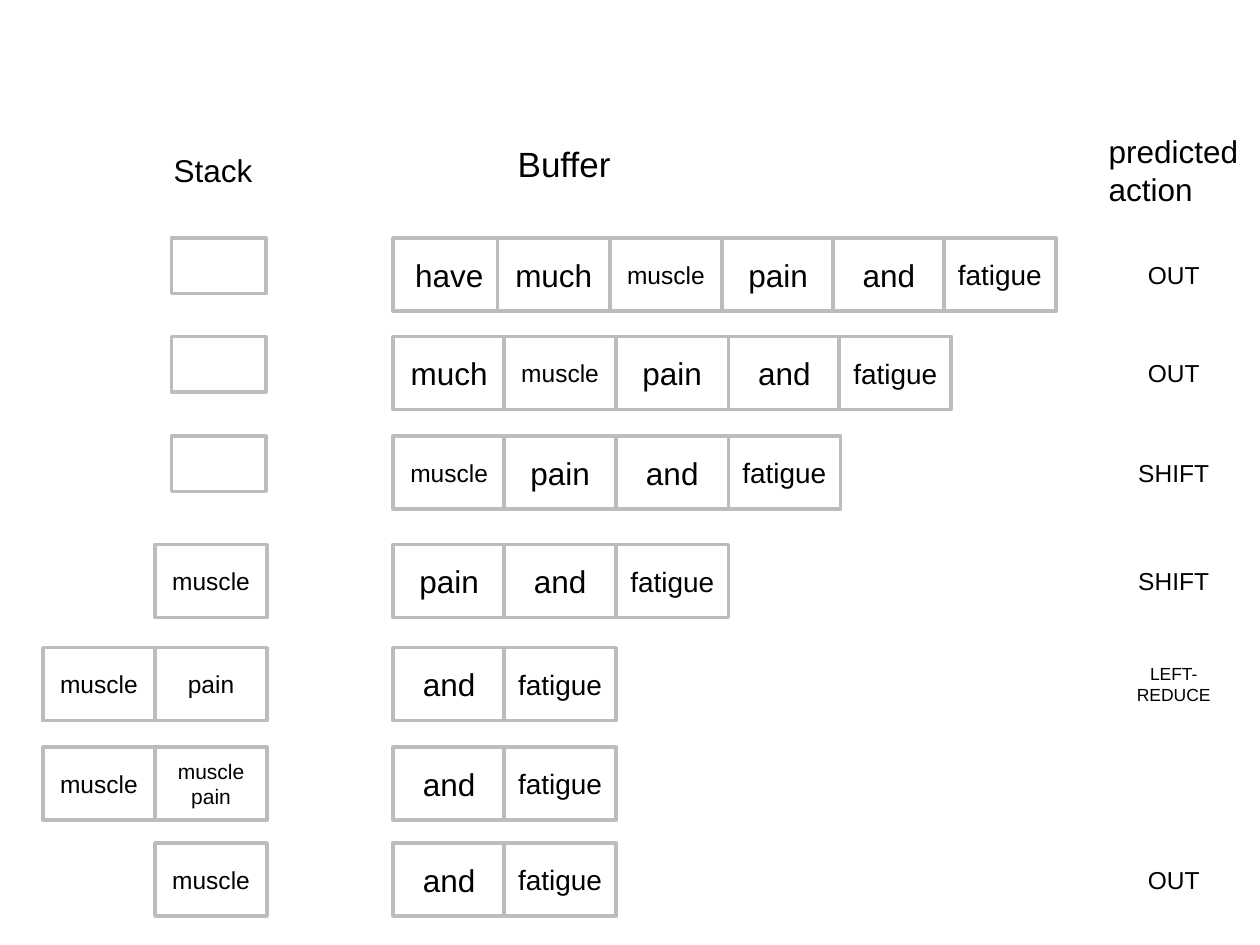
from pptx import Presentation
from pptx.dml.color import RGBColor
from pptx.enum.shapes import MSO_SHAPE as Shape
from pptx.enum.text import MSO_ANCHOR as Anchor, MSO_AUTO_SIZE as AutoSize, PP_ALIGN as Align
from pptx.util import Emu, Pt

PX = 9144
FONT = "Arial"
COLORS = {"text": "000000", "fill": "FFFFFF", "border": "BCBCBC"}
CELL_WIDTH, CELL_HEIGHT, CELL_STEP = 89, 58, 88.5
EMPTY_WIDTH, EMPTY_HEIGHT = 75, 44
STACK_RIGHT, BUFFER_LEFT, ACTION_LEFT = 211, 312, 887
BUFFER_SIZES = {"muscle": 14, "fatigue": 16}
STACK_SIZES = {"muscle pain": 12}
ACTION_SIZES = {"LEFT-REDUCE": 10}
SENTENCE = ["have", "much", "muscle", "pain", "and", "fatigue"]

HEADINGS = [
    ((401, 108, 152, 47), ["Buffer"], 20),
    ((128, 115, 99, 40), ["Stack"], 18),
    ((870, 100, 123, 70), ["predicted", "action"], 18),
]

STEPS = [
    (189, [], 0, "OUT"),
    (267, [], 1, "OUT"),
    (346, [], 2, "SHIFT"),
    (432, ["muscle"], 3, "SHIFT"),
    (514, ["muscle", "pain"], 4, "LEFT-REDUCE"),
    (593, ["muscle", "muscle pain"], 4, None),
    (669, ["muscle"], 4, "OUT"),
]


def color(name):
    """Return a named colour."""
    return RGBColor.from_string(COLORS[name])


def scaled(box):
    """Turn a px box into EMU."""
    return [Emu(length * PX) for length in box]


def style(para, size):
    """Set the font of a paragraph."""
    para.font.name = FONT
    para.font.size = Pt(size)
    para.font.color.rgb = color("text")


def add_heading(page, box, lines, size):
    """Write a column heading."""
    frame = page.shapes.add_textbox(*scaled(box)).text_frame
    frame.word_wrap = True
    frame.auto_size = AutoSize.NONE
    frame.text = "\n".join(lines)
    for para in frame.paragraphs:
        style(para, size)


def add_cell(group, box, word="", size=14, border="border"):
    """Draw one rectangle with a centred word."""
    cell = group.shapes.add_shape(Shape.RECTANGLE, *scaled(box))
    cell.shadow.inherit = False
    cell.fill.solid()
    cell.fill.fore_color.rgb = color("fill")
    cell.line.color.rgb = color(border)
    cell.line.width = Pt(2)
    if word:
        frame = cell.text_frame
        frame.word_wrap = True
        frame.vertical_anchor = Anchor.MIDDLE
        frame.text = word
        para = frame.paragraphs[0]
        para.alignment = Align.CENTER
        style(para, size)


def add_stack(group, right, top, words):
    """Draw the stack so that it ends at its right edge."""
    if not words:
        add_cell(group, (right - EMPTY_WIDTH, top, EMPTY_WIDTH, EMPTY_HEIGHT))
    for index, word in enumerate(words):
        left = right - round((len(words) - index) * CELL_STEP)
        add_cell(group, (left, top, CELL_WIDTH, CELL_HEIGHT), word, STACK_SIZES.get(word, 14))


def add_buffer(group, left, top, words):
    """Draw the buffer from its left edge, with a narrower first step for the full sentence."""
    overlap = 5 if words == SENTENCE else 0
    for index, word in enumerate(words):
        offset = round(index * CELL_STEP) - (overlap if index else 0)
        box = (left + offset, top, CELL_WIDTH, CELL_HEIGHT)
        add_cell(group, box, word, BUFFER_SIZES.get(word, 18))


def add_step(page, top, stack, consumed, action):
    """Draw one parser step: stack, buffer and predicted action."""
    group = page.shapes.add_group_shape()
    add_stack(group, STACK_RIGHT, top, stack)
    add_buffer(group, BUFFER_LEFT, top, SENTENCE[consumed:])
    if action:
        box = (ACTION_LEFT, top, CELL_WIDTH, CELL_HEIGHT)
        add_cell(group, box, action, ACTION_SIZES.get(action, 14), "fill")


def main():
    """Build and save the deck."""
    deck = Presentation()
    deck.slide_width, deck.slide_height = scaled((1000, 750))
    page = deck.slides.add_slide(deck.slide_layouts[6])
    for heading in HEADINGS:
        add_heading(page, *heading)
    for step in STEPS:
        add_step(page, *step)
    deck.save("out.pptx")


if __name__ == "__main__":
    main()
